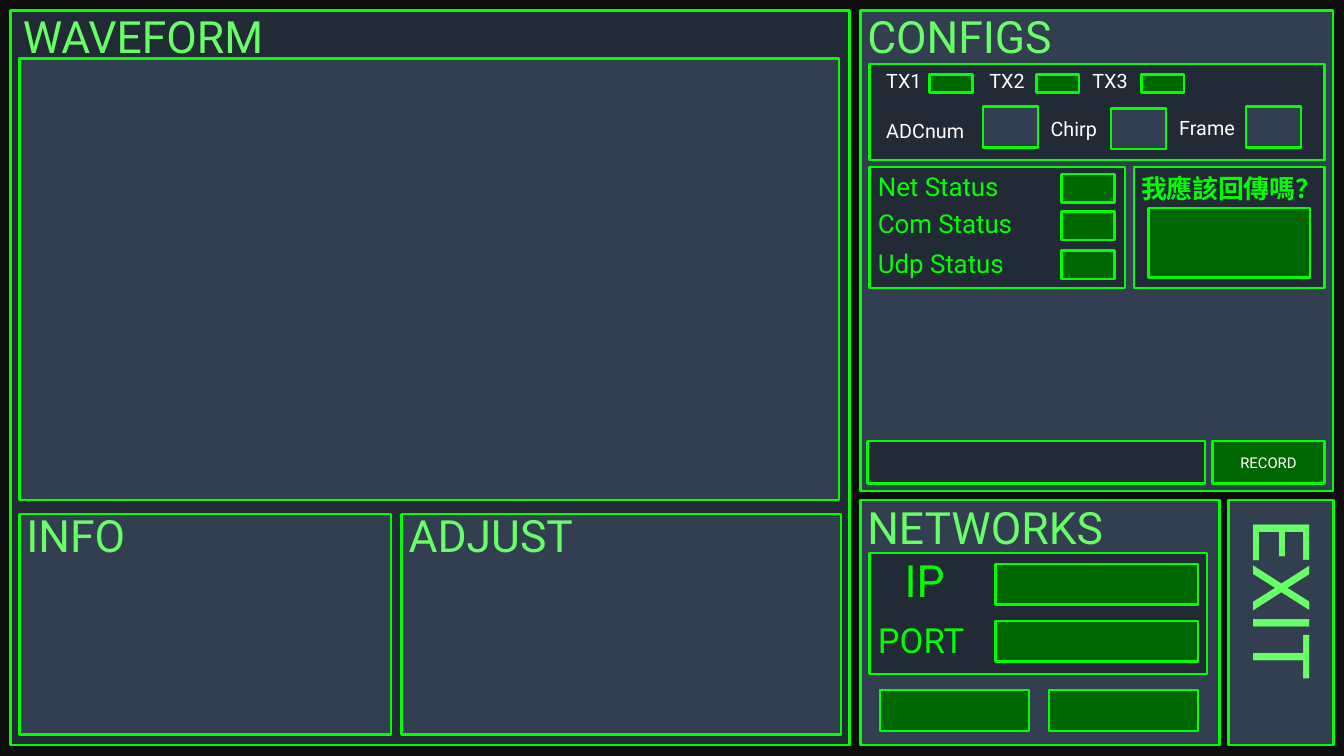
from lxml.etree import SubElement
from pptx import Presentation
from pptx.dml.color import RGBColor
from pptx.enum.shapes import MSO_SHAPE
from pptx.enum.text import MSO_ANCHOR, MSO_AUTO_SIZE, PP_ALIGN
from pptx.oxml.ns import qn
from pptx.util import Inches, Pt

COLORS = {
    "backdrop": "0D0D0D",
    "dark": "222A35",
    "slate": "333F50",
    "green": "006600",
    "neon": "00FF00",
    "title": "66FF66",
    "white": "FFFFFF",
}
LATIN_FONT = "Roboto"
CHINESE_FONT = "Noto Sans CJK SC"


class Dashboard:
    """Holds the style and the slide being drawn."""

    def __init__(self, slide):
        self.slide = slide

    def color(self, name):
        return RGBColor.from_string(COLORS[name])

    def add_text(self, shape, text, size, color, font, bold, align):
        paragraph = shape.text_frame.paragraphs[0]
        paragraph.alignment = align
        run = paragraph.add_run()
        run.text = text
        run.font.name = font
        run.font.size = Pt(size)
        run.font.bold = bold
        run.font.color.rgb = self.color(color)
        east_asian = SubElement(run.font._element, qn("a:ea"))
        east_asian.set("typeface", font)

    def box(self, left, top, width, height, fill, line="neon"):
        shape = self.slide.shapes.add_shape(
            MSO_SHAPE.RECTANGLE, Inches(left), Inches(top), Inches(width), Inches(height))
        shape.shadow.inherit = False
        shape.fill.solid()
        shape.fill.fore_color.rgb = self.color(fill)
        shape.line.color.rgb = self.color(line)
        shape.line.width = Pt(1)
        return shape

    def button(self, left, top, width, height, text, size):
        shape = self.box(left, top, width, height, "green")
        shape.text_frame.vertical_anchor = MSO_ANCHOR.MIDDLE
        self.add_text(shape, text, size, "white", LATIN_FONT, False, PP_ALIGN.CENTER)

    def label(self, left, top, width, height, text, size, color="neon",
              font=LATIN_FONT, bold=False, align=PP_ALIGN.LEFT, rotation=0):
        shape = self.slide.shapes.add_textbox(
            Inches(left), Inches(top), Inches(width), Inches(height))
        shape.rotation = rotation
        shape.text_frame.word_wrap = True
        shape.text_frame.auto_size = MSO_AUTO_SIZE.SHAPE_TO_FIT_TEXT
        self.add_text(shape, text, size, color, font, bold, align)

    def title(self, left, top, text):
        self.label(left, top, 1.85, 0.4, text, 18, "title")

    def caption(self, left, top, width, text):
        self.label(left, top, width, 0.24, text, 8, "white", align=PP_ALIGN.CENTER)


def main():
    presentation = Presentation()
    presentation.slide_width = Inches(7.56)
    presentation.slide_height = Inches(4.25)
    slide = presentation.slides.add_slide(presentation.slide_layouts[6])
    dashboard = Dashboard(slide)

    # Backdrop and main panels
    dashboard.box(0, 0, 7.56, 4.25, "backdrop", "backdrop")
    dashboard.box(0.06, 0.06, 4.72, 4.13, "dark")
    for panel in [
        (4.84, 2.81, 2.02, 1.38),
        (4.84, 0.06, 2.66, 2.7),
        (6.91, 2.81, 0.59, 1.38),
        (0.11, 0.33, 4.61, 2.48),
        (0.11, 2.89, 2.09, 1.24),
        (2.26, 2.89, 2.47, 1.24),
    ]:
        dashboard.box(*panel, "slate")

    # Panel titles
    for left, top, text in [
        (0.03, 0, "WAVEFORM"),
        (4.78, 2.76, "NETWORKS"),
        (4.78, 0, "CONFIGS"),
        (0.05, 2.81, "INFO"),
        (2.2, 2.81, "ADJUST"),
    ]:
        dashboard.title(left, top, text)
    dashboard.label(6.54, 3.18, 1.37, 0.64, "EXIT", 32, "title", rotation=90)

    # Networks: address fields and two buttons
    dashboard.box(4.89, 3.11, 1.9, 0.68, "dark")
    for top in (3.17, 3.49):
        dashboard.box(5.6, top, 1.14, 0.23, "green")
    dashboard.label(4.99, 3.06, 0.5, 0.4, "IP", 18)
    dashboard.label(4.84, 3.43, 0.96, 0.34, "PORT", 14)
    for left in (4.95, 5.9):
        dashboard.box(left, 3.88, 0.84, 0.23, "green")

    # Configs: record bar
    dashboard.box(4.88, 2.48, 1.9, 0.24, "dark")
    dashboard.button(6.82, 2.48, 0.63, 0.24, "RECORD", 6)

    # Configs: transmitters
    dashboard.box(4.89, 0.36, 2.56, 0.54, "dark")
    for index, lamp_left in enumerate((5.23, 5.83, 6.42)):
        dashboard.caption(4.85 + 0.58 * index, 0.34, 0.47, f"TX{index + 1}")
        dashboard.box(lamp_left, 0.42, 0.24, 0.1, "green")

    # Configs: sampling fields
    for text, left, top, width, field_left, field_top in [
        ("ADCnum", 4.83, 0.62, 0.75, 5.53, 0.6),
        ("Chirp", 5.75, 0.61, 0.58, 6.25, 0.61),
        ("Frame", 6.5, 0.6, 0.58, 7.01, 0.6),
    ]:
        dashboard.caption(left, top, width, text)
        dashboard.box(field_left, field_top, 0.31, 0.23, "slate")

    # Configs: status lamps
    dashboard.box(4.89, 0.94, 1.44, 0.68, "dark")
    for name, lamp_top in (("Net", 0.98), ("Com", 1.19), ("Udp", 1.41)):
        dashboard.box(5.97, lamp_top, 0.3, 0.16, "green")
        dashboard.label(4.84, lamp_top - 0.07, 1.22, 0.28, f"{name} Status", 10.5)

    # Configs: reply indicator
    dashboard.box(6.38, 0.94, 1.07, 0.68, "dark")
    dashboard.label(6.32, 0.92, 1.24, 0.28, "我應該回傳嗎？", 10.5, font=CHINESE_FONT, bold=True)
    dashboard.box(6.46, 1.17, 0.91, 0.39, "green")

    presentation.save("out.pptx")


if __name__ == "__main__":
    main()
